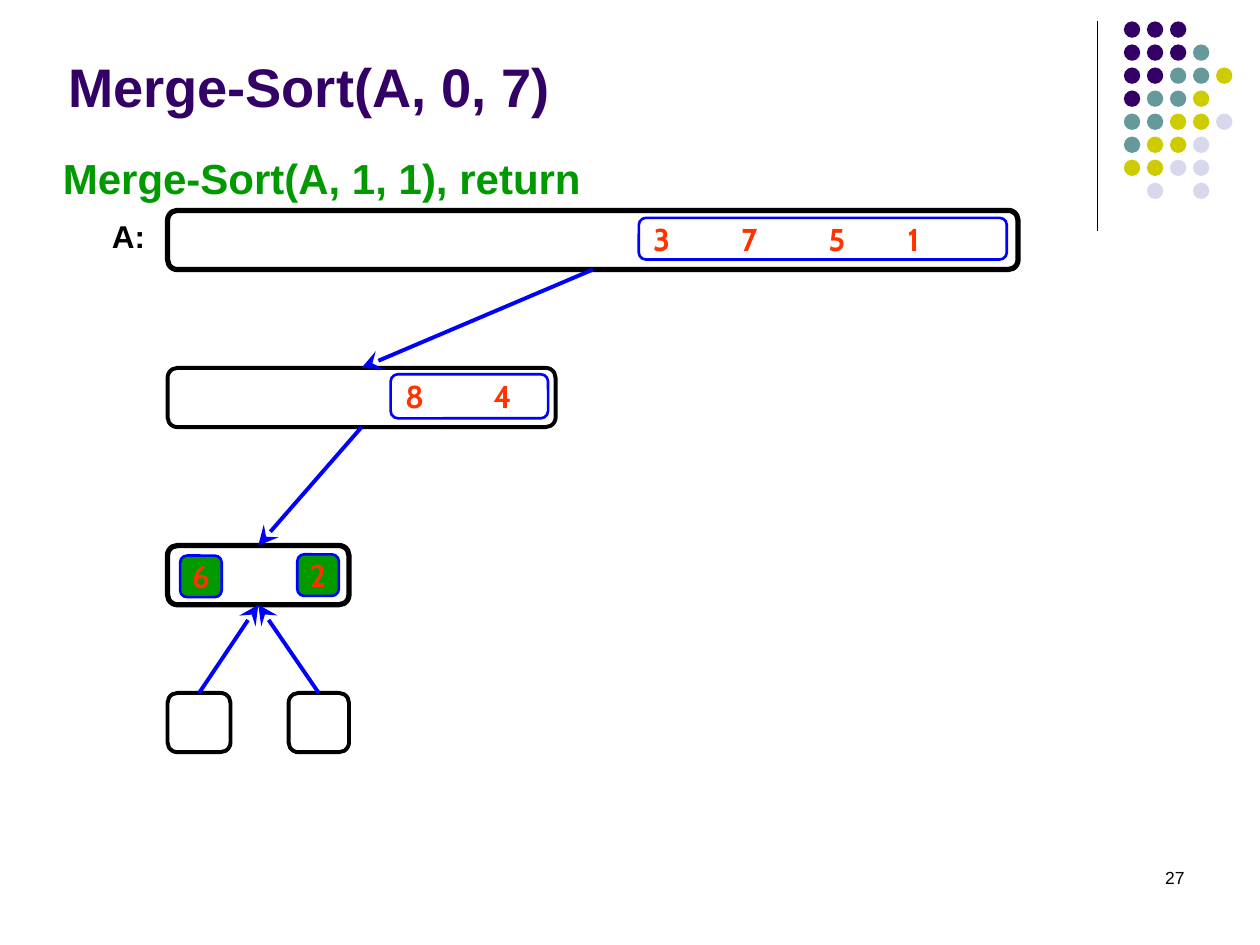
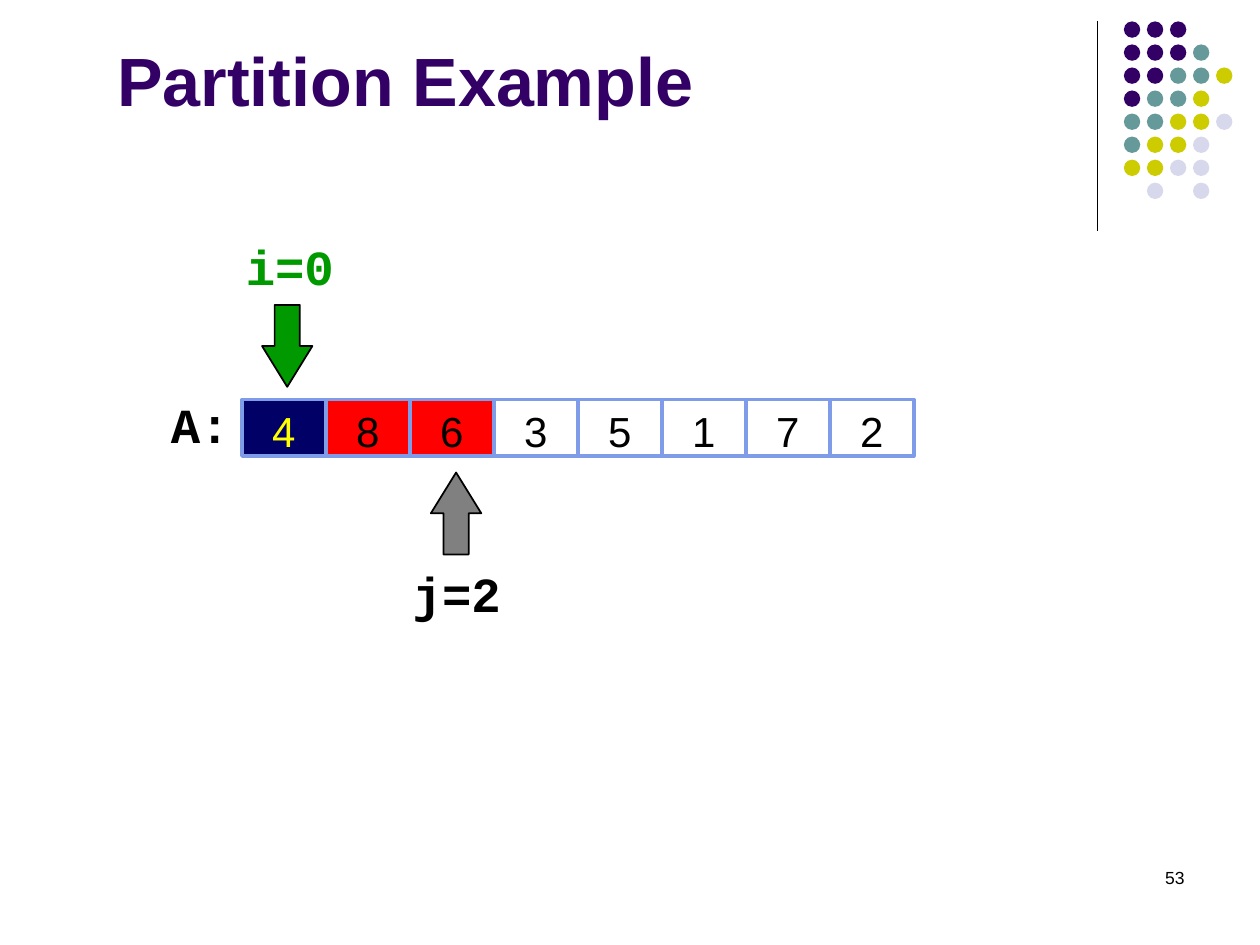
from dataclasses import dataclass

from lxml import etree
from pptx import Presentation
from pptx.dml.color import RGBColor
from pptx.enum.shapes import MSO_CONNECTOR, MSO_SHAPE
from pptx.enum.text import MSO_ANCHOR, MSO_AUTO_SIZE, PP_ALIGN
from pptx.oxml.ns import qn
from pptx.util import Inches, Pt

LEFT, MID, RIGHT = PP_ALIGN.LEFT, PP_ALIGN.CENTER, PP_ALIGN.RIGHT
TOP, CENTER, BASE = MSO_ANCHOR.TOP, MSO_ANCHOR.MIDDLE, MSO_ANCHOR.BOTTOM
RECT, ROUND, OVAL = MSO_SHAPE.RECTANGLE, MSO_SHAPE.ROUNDED_RECTANGLE, MSO_SHAPE.OVAL
DOWN, UP = MSO_SHAPE.DOWN_ARROW, MSO_SHAPE.UP_ARROW
STRAIGHT = MSO_CONNECTOR.STRAIGHT
NO_FIT = MSO_AUTO_SIZE.NONE


@dataclass(frozen=True)
class Theme:
    purple: str = "330066"
    teal: str = "669999"
    lime: str = "CCCC00"
    lilac: str = "D8D8EC"
    black: str = "000000"
    blue: str = "0000FF"
    green: str = "009900"
    orange: str = "FF3300"
    navy: str = "000066"
    red: str = "FF0000"
    gray: str = "808080"
    yellow: str = "FFFF00"
    edge: str = "7E9CE8"
    sans: str = "Arial"
    digit: str = "Cabin"
    code: str = "Courier New"
    small: int = 10
    body: int = 18
    large: int = 24
    mark: int = 28


T = Theme()

# Shared dot pattern, one letter per dot
DOTS = ["PPP", "PPPT", "PPTTY", "PTTY", "TTYYL", "TYYL", "YYLL", " L L"]
HUES = {"P": T.purple, "T": T.teal, "Y": T.lime, "L": T.lilac}

# Merge sort: the call tree, then the parts of the array still waiting
MERGE = {"title": "Merge-Sort(A, 0, 7)", "at": (0.44, 0.35, 8.25, 0.64),
         "size": 31, "anchor": BASE, "page": "27"}
CALL = "Merge-Sort(A, 1, 1), return"
NODES = {  # name: (left, top, width, line)
    "whole": (1.33, 1.67, 6.75, 3),
    "half": (1.33, 2.92, 3.08, 2.25),
    "pair": (1.33, 4.33, 1.44, 3),
    "one": (1.33, 5.5, 0.5, 2.25),
    "two": (2.29, 5.5, 0.48, 2.25),
}
LINKS = [  # start, side, end, side
    ("whole", 2, "half", 0),
    ("half", 2, "pair", 0),
    ("one", 0, "pair", 2),
    ("two", 0, "pair", 2),
]
PARTS = [  # digits, place, fill
    ("3751", (5.07, 1.73, 2.92, 0.33), None),
    ("84", (3.1, 2.97, 1.25, 0.35), None),
    ("6", (1.43, 4.41, 0.33, 0.33), T.green),
    ("2", (2.36, 4.4, 0.33, 0.33), T.green),
]
STOPS = (0.7, 1.39, 2.02)

# Partition: array cells and the two index marks
SPLIT = {"title": "Partition Example", "at": (0.83, 0, 8.5, 1.25),
         "size": 39, "anchor": CENTER, "page": "53"}
CELLS = "48635172"
PAINT = {0: (T.navy, T.yellow), 1: (T.red, T.black), 2: (T.red, T.black)}
ROW = (1.92, 3.17, 2 / 3, 0.45)
MARKS = [  # text, place, colour, alignment
    ("A:", (0, 3.08, 1.92, 0.57), T.black, RIGHT),
    ("i=0", (1.79, 1.83, 1.02, 0.57), T.green, MID),
    ("j=2", (2.25, 4.42, 2.75, 0.57), T.black, MID),
]
ARROWS = [(DOWN, (2.08, 2.42, 0.4, 0.65), T.green),
          (UP, (3.42, 3.75, 0.4, 0.65), T.gray)]


def rgb(code):
    return RGBColor.from_string(code)


def box(place):
    return [Inches(n) for n in place]


def write(shape, text, color=T.black, size=T.body, name=T.sans, bold=True,
          align=LEFT, anchor=TOP, wrap=True, stops=()):
    frame = shape.text_frame
    layout = {"word_wrap": wrap, "auto_size": NO_FIT, "vertical_anchor": anchor,
              "margin_left": Inches(0.1), "margin_right": Inches(0.1),
              "margin_top": Inches(0.05), "margin_bottom": Inches(0.05)}
    for key, value in layout.items():
        setattr(frame, key, value)
    frame.text = text
    para = frame.paragraphs[0]
    para.alignment = align
    para.space_before = Pt(0)
    if stops:
        tabs = etree.SubElement(para._p.get_or_add_pPr(), qn("a:tabLst"))
        for stop in stops:
            etree.SubElement(tabs, qn("a:tab"), pos=str(Inches(stop)), algn="l")
    font = para.runs[0].font
    for key, value in {"name": name, "size": Pt(size), "bold": bold}.items():
        setattr(font, key, value)
    font.color.rgb = rgb(color)


def label(slide, text, place, **style):
    write(slide.shapes.add_textbox(*box(place)), text, **style)


def draw(shapes, kind, place, fill=None, line=None, width=1, adjust=()):
    shape = shapes.add_shape(kind, *box(place))
    shape.shadow.inherit = False
    if fill:
        shape.fill.solid()
        shape.fill.fore_color.rgb = rgb(fill)
    else:
        shape.fill.background()
    if line:
        shape.line.color.rgb = rgb(line)
        shape.line.width = Pt(width)
    else:
        shape.line.fill.background()
    for i, value in enumerate(adjust):
        shape.adjustments[i] = value
    return shape


def rule(shapes, color, width, ends=(0, 0, 0, 0)):
    line = shapes.add_connector(STRAIGHT, *box(ends))
    line.line.color.rgb = rgb(color)
    line.line.width = Pt(width)
    etree.SubElement(line._element.spPr, qn("a:effectLst"))
    return line


def join(slide, start, out, end, into):
    line = rule(slide.shapes, T.blue, 2.25)
    line.begin_connect(start, out)
    line.end_connect(end, into)
    etree.SubElement(line.line._get_or_add_ln(), qn("a:tailEnd"),
                     type="stealth", w="lg", len="lg")


def brand(layout, slide):
    """Build the rule and dots on a slide, then move them to its layout."""
    for item in list(layout.placeholders):
        if item.placeholder_format.idx:
            layout.shapes.element.remove(item.element)
    group = slide.shapes.add_group_shape()
    rule(group.shapes, T.black, 0.75, (8.71, 0.17, 8.71, 1.83))
    step = 1.28 / 7
    for r, row in enumerate(DOTS):
        for c, key in enumerate(row):
            if key in HUES:
                place = (8.92 + c * step, 0.17 + r * step, 0.13, 0.13)
                draw(group.shapes, OVAL, place, HUES[key])
    layout.shapes.element.append(group.element)


def start(deck, layout, info):
    """Add a slide with its title and page number."""
    slide = deck.slides.add_slide(layout)
    title = slide.shapes.title
    title.left, title.top, title.width, title.height = box(info["at"])
    write(title, info["title"], T.purple, info["size"], anchor=info["anchor"])
    label(slide, info["page"], (7.17, 6.83, 2.33, 0.5),
          size=T.small, bold=False, align=RIGHT)
    return slide


def merge(slide):
    nodes = {}
    for name, (left, top, wide, line) in NODES.items():
        nodes[name] = draw(slide.shapes, ROUND, (left, top, wide, 0.47),
                           line=T.black, width=line, adjust=[0.167])
    for head, out, tail, into in LINKS:
        join(slide, nodes[head], out, nodes[tail], into)
    for digits, place, fill in PARTS:
        many = len(digits) > 1
        part = draw(slide.shapes, ROUND, place, fill, T.blue, 1.5, [0.167])
        write(part, "\t".join(digits), T.orange, name=T.digit, anchor=CENTER,
              align=LEFT if many else MID, wrap=many,
              stops=STOPS[:len(digits) - 1])
    label(slide, CALL, (0.4, 1.16, 4.98, 0.5), color=T.green, size=T.large)
    label(slide, "A:", (0.79, 1.67, 0.46, 0.4), wrap=False)


def split(slide):
    left, top, wide, high = ROW
    for i, digit in enumerate(CELLS):
        fill, ink = PAINT.get(i, (None, T.black))
        cell = draw(slide.shapes, RECT, (left + i * wide, top, wide, high),
                    fill, T.edge, 2)
        write(cell, digit, ink, T.large, bold=False, align=MID)
        cell.text_frame.margin_bottom = 0
    for kind, place, fill in ARROWS:
        draw(slide.shapes, kind, place, fill, T.black, 1, (0.5, 0.81))
    for text, place, color, align in MARKS:
        label(slide, text, place, color=color, size=T.mark, name=T.code,
              align=align)


def main():
    deck = Presentation()
    deck.slide_width, deck.slide_height = Inches(10), Inches(7.5)
    layout = deck.slide_layouts[5]
    first = start(deck, layout, MERGE)
    brand(layout, first)
    merge(first)
    split(start(deck, layout, SPLIT))
    deck.save("out.pptx")


if __name__ == "__main__":
    main()
